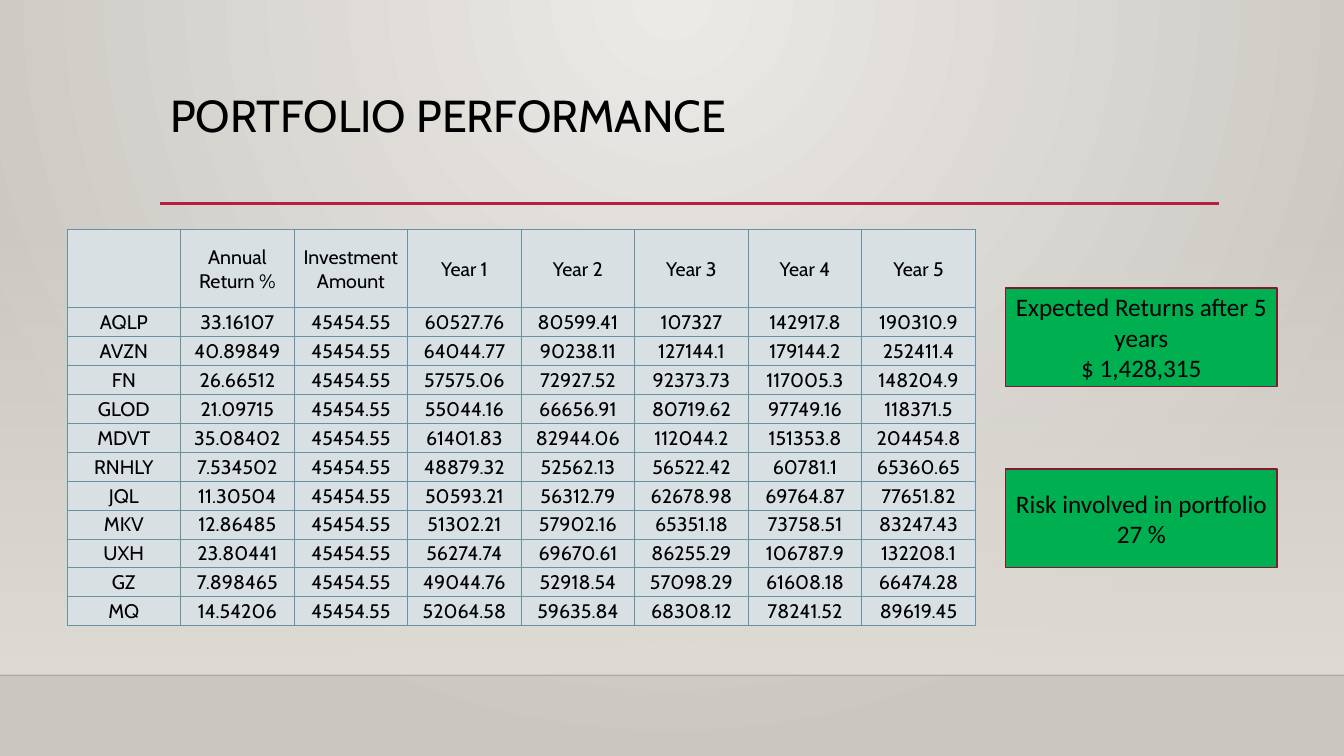
from lxml import etree
from pptx import Presentation
from pptx.dml.color import RGBColor
from pptx.enum.shapes import MSO_CONNECTOR, MSO_SHAPE
from pptx.enum.text import MSO_ANCHOR, PP_ALIGN
from pptx.oxml.ns import qn
from pptx.util import Cm, Pt

LINE, RECT = MSO_CONNECTOR.STRAIGHT, MSO_SHAPE.RECTANGLE
TOP, MIDDLE = MSO_ANCHOR.TOP, MSO_ANCHOR.MIDDLE
LEFT, CENTER = PP_ALIGN.LEFT, PP_ALIGN.CENTER

COLORS = {
    "glow": "ECEAE7", "edge": "CAC7C1", "wall": "DFDBD5", "floor": "000001",
    "rule": "B71E42", "text": "000000", "cell": "D8E0E3", "grid": "6892A0",
    "card": "00B050", "card_line": "871631",
}
W, H = 33.87, 19.05
HEADER = ["", "Annual Return %", "Investment Amount",
          "Year 1", "Year 2", "Year 3", "Year 4", "Year 5"]
AMOUNT = "45454.55"
HOLDINGS = [
    ("AQLP", "33.16107", "60527.76", "80599.41", "107327", "142917.8", "190310.9"),
    ("AVZN", "40.89849", "64044.77", "90238.11", "127144.1", "179144.2", "252411.4"),
    ("FN", "26.66512", "57575.06", "72927.52", "92373.73", "117005.3", "148204.9"),
    ("GLOD", "21.09715", "55044.16", "66656.91", "80719.62", "97749.16", "118371.5"),
    ("MDVT", "35.08402", "61401.83", "82944.06", "112044.2", "151353.8", "204454.8"),
    ("RNHLY", "7.534502", "48879.32", "52562.13", "56522.42", "60781.1", "65360.65"),
    ("JQL", "11.30504", "50593.21", "56312.79", "62678.98", "69764.87", "77651.82"),
    ("MKV", "12.86485", "51302.21", "57902.16", "65351.18", "73758.51", "83247.43"),
    ("UXH", "23.80441", "56274.74", "69670.61", "86255.29", "106787.9", "132208.1"),
    ("GZ", "7.898465", "49044.76", "52918.54", "57098.29", "61608.18", "66474.28"),
    ("MQ", "14.54206", "52064.58", "59635.84", "68308.12", "78241.52", "89619.45"),
]
CARDS = [
    ["Expected Returns after 5 years", "$ 1,428,315"],
    ["Risk involved in portfolio", "27 %"],
]
TITLE_FONT = {"name": "Cabin", "size": Pt(32)}
CELL_FONT = {"name": "Cabin", "size": Pt(14)}
CARD_FONT = {"name": "Calibri", "size": Pt(18)}


def rgb(name):
    return RGBColor.from_string(COLORS[name])


def set_attrs(obj, values):
    for key, value in values.items():
        setattr(obj, key, value)


def write(tf, lines, font, align, anchor):
    set_attrs(tf, {"word_wrap": True, "vertical_anchor": anchor})
    for i, line in enumerate(lines):
        p = tf.add_paragraph() if i else tf.paragraphs[0]
        p.alignment = align
        r = p.add_run()
        r.text = line
        set_attrs(r.font, font)
        r.font.color.rgb = rgb("text")


def set_alpha(color_el, percent):
    etree.SubElement(color_el, qn("a:alpha")).set("val", str(percent * 1000))


def set_gradient(fill, start, end):
    fill.gradient()
    for stop, name in zip(fill.gradient_stops, (start, end)):
        stop.color.rgb = rgb(name)


def add_line(s, x1, x2, y, color, width):
    c = s.shapes.add_connector(LINE, Cm(x1), Cm(y), Cm(x2), Cm(y))
    c.line.color.rgb = rgb(color)
    c.line.width = Pt(width)
    etree.SubElement(c._element.spPr, qn("a:effectLst"))
    return c


def add_backdrop(s, x, y, w, h):
    set_gradient(s.background.fill, "glow", "edge")
    grad = s._element.find(".//" + qn("a:gradFill"))
    grad.remove(grad.find(qn("a:lin")))
    radial = etree.SubElement(grad, qn("a:path"), {"path": "circle"})
    etree.SubElement(radial, qn("a:fillToRect"),
                     {"l": "43000", "t": "0", "r": "43000", "b": "100000"})

    wall = s.shapes.add_shape(RECT, Cm(x), Cm(y), Cm(w), Cm(h))
    wall.shadow.inherit = False
    wall.line.fill.background()
    set_gradient(wall.fill, "wall", "wall")
    wall.fill.gradient_angle = 270
    for color_el, percent in zip(wall._element.spPr.iter(qn("a:srgbClr")), (0, 100)):
        set_alpha(color_el, percent)

    floor = add_line(s, x, x + w, y + h, "floor", 1)
    set_alpha(floor._element.spPr.find(".//" + qn("a:srgbClr")), 20)


def add_title(s, x, y, w, h):
    add_line(s, x, x + w, y + h, "rule", 2.5)
    tf = s.shapes.add_textbox(Cm(x), Cm(y), Cm(w), Cm(h)).text_frame
    write(tf, ["PORTFOLIO PERFORMANCE"], TITLE_FONT, LEFT, TOP)
    tf.paragraphs[0].line_spacing = 0.9


def add_borders(cell):
    tcPr = cell._tc.get_or_add_tcPr()
    for i, side in enumerate(("lnL", "lnR", "lnT", "lnB")):
        ln = etree.Element(qn("a:" + side), {"w": str(Pt(0.75))})
        solid = etree.SubElement(ln, qn("a:solidFill"))
        etree.SubElement(solid, qn("a:srgbClr"), {"val": COLORS["grid"]})
        tcPr.insert(i, ln)


def add_performance_table(s, x, y, w, h):
    rows = [HEADER] + [[name, rate, AMOUNT, *years] for name, rate, *years in HOLDINGS]
    header_h = 1.96
    row_h = (h - header_h) / len(HOLDINGS)
    table = s.shapes.add_table(len(rows), len(HEADER), Cm(x), Cm(y), Cm(w), Cm(h)).table
    for col in table.columns:
        col.width = Cm(w / len(HEADER))
    for i, values in enumerate(rows):
        table.rows[i].height = Cm(row_h if i else header_h)
        for j, value in enumerate(values):
            cell = table.cell(i, j)
            set_attrs(cell, {"margin_left": Cm(0.02), "margin_right": Cm(0.02),
                             "margin_top": Cm(0.02), "margin_bottom": 0,
                             "vertical_anchor": MIDDLE})
            cell.fill.solid()
            cell.fill.fore_color.rgb = rgb("cell")
            add_borders(cell)
            if value:
                write(cell.text_frame, [value], CELL_FONT, CENTER, MIDDLE)


def add_cards(s, x, y, w, h):
    card_h = 2.49
    step = (h - card_h) / (len(CARDS) - 1)
    for i, lines in enumerate(CARDS):
        sp = s.shapes.add_shape(RECT, Cm(x), Cm(y + i * step), Cm(w), Cm(card_h))
        sp.shadow.inherit = False
        sp.fill.solid()
        sp.fill.fore_color.rgb = rgb("card")
        sp.line.color.rgb = rgb("card_line")
        sp.line.width = Pt(1.25)
        write(sp.text_frame, lines, CARD_FONT, CENTER, MIDDLE)


def main():
    prs = Presentation()
    prs.slide_width, prs.slide_height = Cm(W), Cm(H)
    s = prs.slides.add_slide(prs.slide_layouts[6])
    add_backdrop(s, 0, 5.61, W, 11.41)
    add_title(s, 4.04, 2.23, 26.68, 2.9)
    add_performance_table(s, 1.69, 5.79, 22.89, 9.98)
    add_cards(s, 25.34, 7.25, 6.85, 7.05)
    prs.save("out.pptx")


if __name__ == "__main__":
    main()
